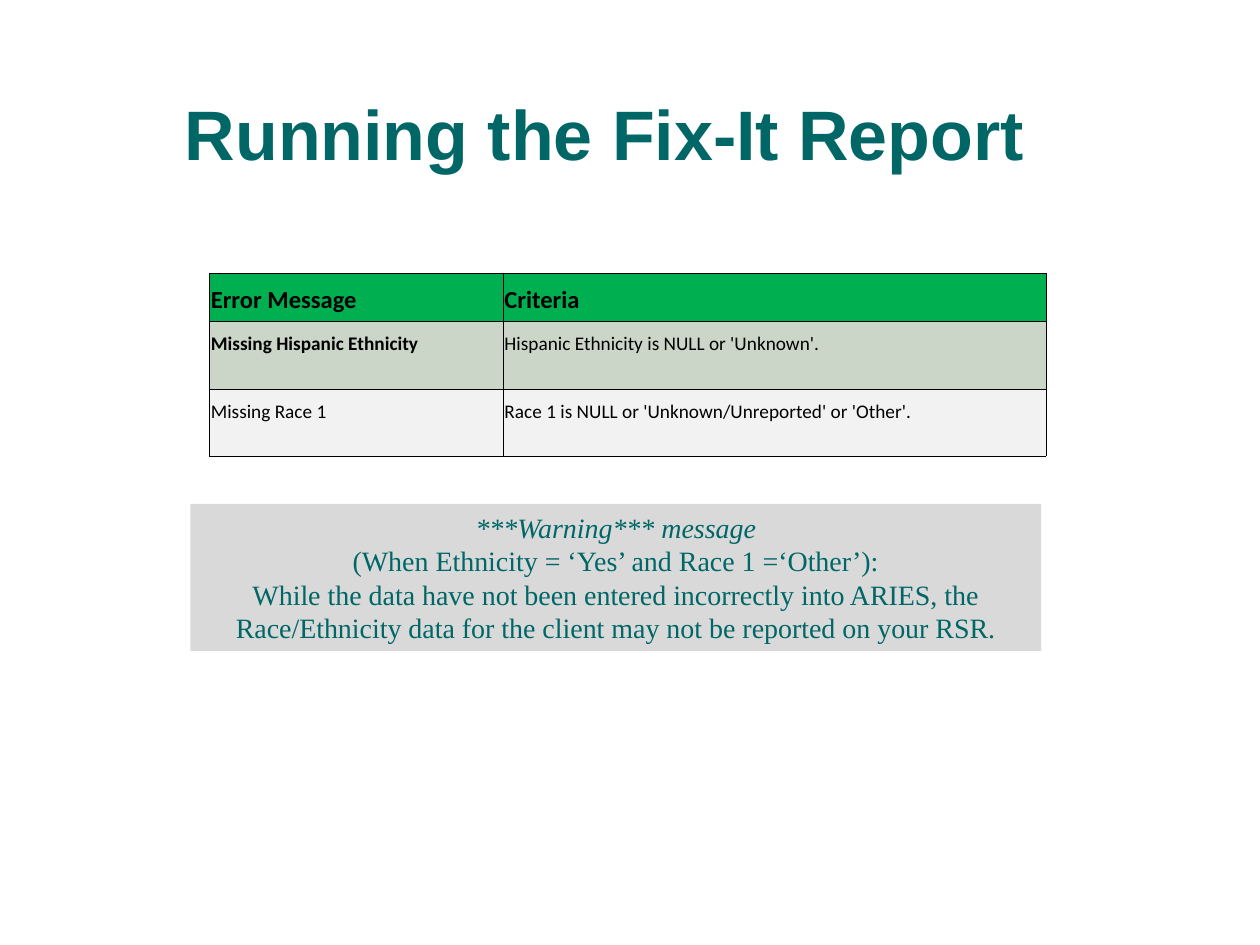
"""Build the slide that explains the Fix-It report errors."""
from dataclasses import dataclass

from lxml import etree
from pptx import Presentation
from pptx.dml.color import RGBColor
from pptx.enum.shapes import MSO_SHAPE
from pptx.enum.text import MSO_ANCHOR, MSO_AUTO_SIZE, PP_ALIGN
from pptx.oxml.ns import qn
from pptx.util import Cm, Pt

RECTANGLE = MSO_SHAPE.RECTANGLE
TOP, BOTTOM = MSO_ANCHOR.TOP, MSO_ANCHOR.BOTTOM
LEFT, CENTER = PP_ALIGN.LEFT, PP_ALIGN.CENTER
FIT_SHAPE = MSO_AUTO_SIZE.SHAPE_TO_FIT_TEXT

TEAL, BLACK, GRAY = "006666", "000000", "D9D9D9"
BORDER_WIDTH = Pt(0.23)


@dataclass
class TableRow:
    """One row of the error table with its look."""

    texts: tuple[str, str]
    height: float
    fill: str
    bold: tuple[bool, bool] = (False, False)
    size: int = 11
    anchor: MSO_ANCHOR = TOP


ROWS = [
    TableRow(("Error Message", "Criteria"), 0.74, "00B050", (True, True), 14, BOTTOM),
    TableRow(("Missing Hispanic Ethnicity", "Hispanic Ethnicity is NULL or 'Unknown'."),
             1.37, "CBD6C8", (True, False)),
    TableRow(("Missing Race 1", "Race 1 is NULL or 'Unknown/Unreported' or 'Other'."),
             1.35, "F2F2F2"),
]
COLUMN_WIDTHS = (5.92, 10.95)
WARNING = [
    "***Warning*** message",
    "(When Ethnicity = ‘Yes’ and Race 1 =‘Other’):",
    "While the data have not been entered incorrectly into ARIES, the "
    "Race/Ethnicity data for the client may not be reported on your RSR.",
]


def paint(fill, color: str) -> None:
    """Make a fill solid in the given hex colour."""
    fill.solid()
    fill.fore_color.rgb = RGBColor.from_string(color)


def write(para, text: str, *, font: str, size: float, color: str, bold: bool = False,
          italic: bool = False, align: PP_ALIGN = LEFT) -> None:
    """Put one formatted span into a paragraph."""
    para.alignment = align
    span = para.add_run()
    span.text = text
    span.font.name, span.font.size = font, Pt(size)
    span.font.bold, span.font.italic = bold, italic
    span.font.color.rgb = RGBColor.from_string(color)


def add_borders(cell, color: str) -> None:
    """Draw a thin line on the four sides of a cell."""
    properties = cell._tc.get_or_add_tcPr()
    for side in ("a:lnL", "a:lnR", "a:lnT", "a:lnB"):
        line = etree.SubElement(properties, qn(side), w=str(BORDER_WIDTH))
        solid = etree.SubElement(line, qn("a:solidFill"))
        etree.SubElement(solid, qn("a:srgbClr"), val=color)


def add_title(page) -> None:
    """Add the slide heading."""
    box = page.shapes.add_textbox(Cm(3.48), Cm(1.7), Cm(17.42), Cm(1.96))
    box.text_frame.word_wrap = False
    box.text_frame.auto_size = FIT_SHAPE
    write(box.text_frame.paragraphs[0], "Running the Fix-It Report",
          font="Arial", size=40, color=TEAL, bold=True)


def add_error_table(page, rows: list[TableRow]) -> None:
    """Add the table of error messages and their criteria."""
    table = page.shapes.add_table(
        len(rows), len(COLUMN_WIDTHS), Cm(4.22), Cm(5.51),
        Cm(sum(COLUMN_WIDTHS)), Cm(sum(row.height for row in rows))).table
    table.horz_banding = False
    for column, width in zip(table.columns, COLUMN_WIDTHS):
        column.width = Cm(width)
    for table_row, row in zip(table.rows, rows):
        table_row.height = Cm(row.height)
        for cell, text, bold in zip(table_row.cells, row.texts, row.bold):
            add_borders(cell, BLACK)
            paint(cell.fill, row.fill)
            cell.margin_left = cell.margin_right = Cm(0.03)
            cell.vertical_anchor = row.anchor
            para = cell.text_frame.paragraphs[0]
            para.line_spacing = 1.19
            para.space_after = Pt(14)
            write(para, text, font="Calibri", size=row.size, color=BLACK, bold=bold)


def add_warning(page, lines: list[str]) -> None:
    """Add the gray warning panel with its first line in italics."""
    box = page.shapes.add_shape(RECTANGLE, Cm(3.84), Cm(10.16), Cm(17.15), Cm(2.97))
    box.shadow.inherit = False
    paint(box.fill, GRAY)
    box.line.fill.background()
    frame = box.text_frame
    frame.word_wrap = True
    frame.auto_size = FIT_SHAPE
    frame.vertical_anchor = TOP
    for index, text in enumerate(lines):
        para = frame.add_paragraph() if index else frame.paragraphs[0]
        write(para, text, font="Times New Roman", size=16, color=TEAL,
              italic=index == 0, align=CENTER)


def main() -> None:
    """Build and save the deck."""
    deck = Presentation()
    deck.slide_width, deck.slide_height = Cm(25.4), Cm(19.05)
    page = deck.slides.add_slide(deck.slide_layouts[6])
    add_title(page)
    add_error_table(page, ROWS)
    add_warning(page, WARNING)
    deck.save("out.pptx")


if __name__ == "__main__":
    main()
